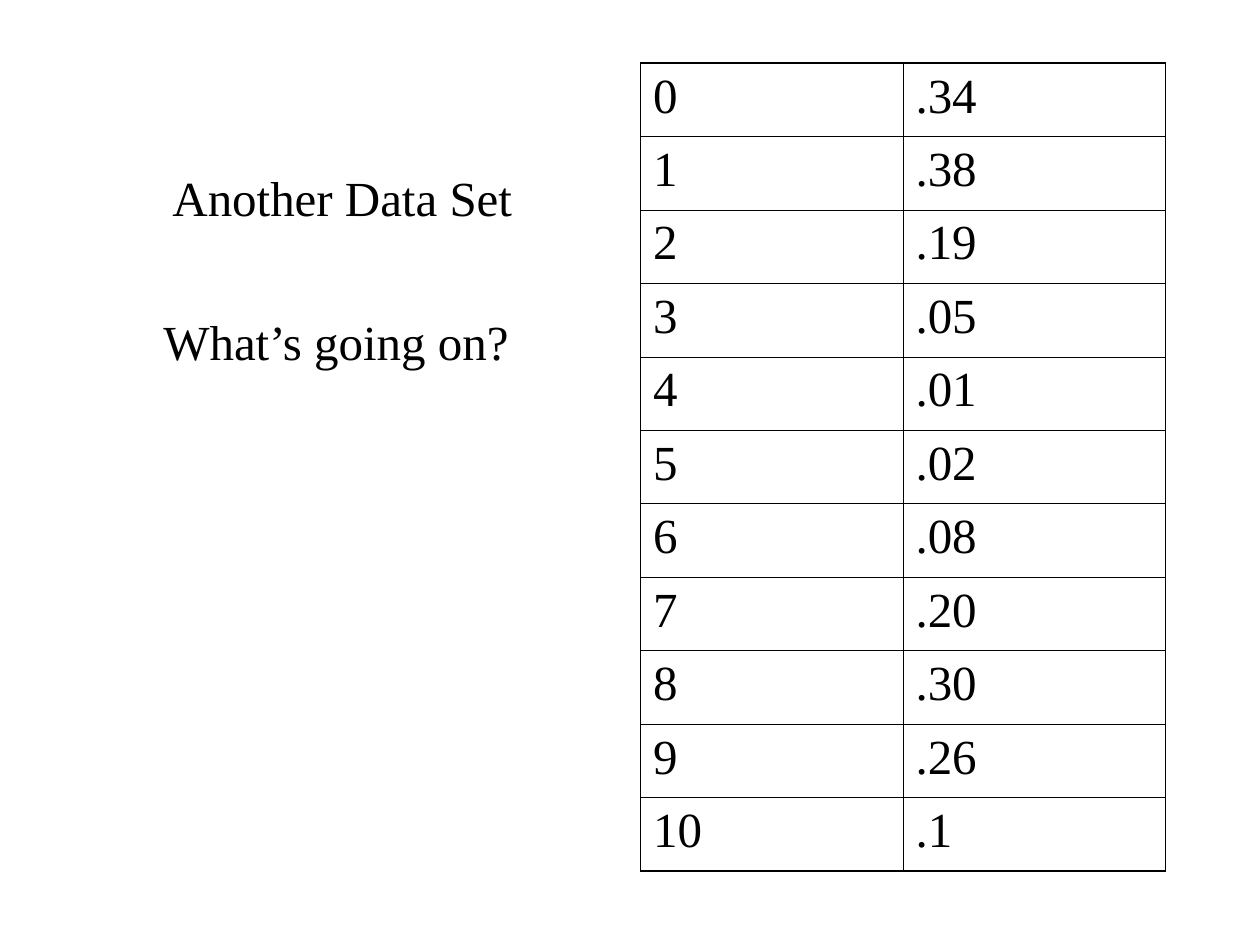
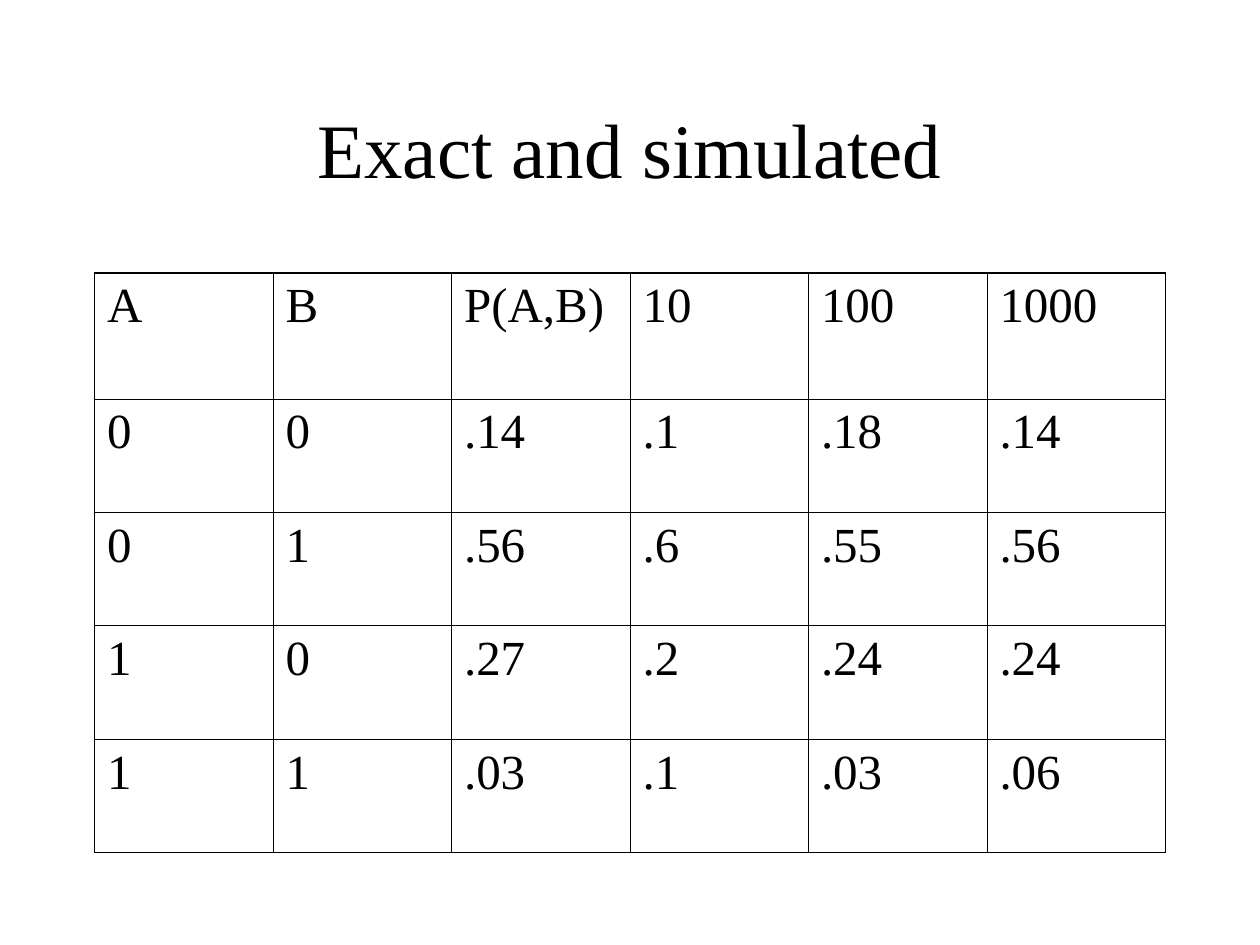
from lxml import etree
from pptx import Presentation
from pptx import util as u
from pptx.dml.color import RGBColor
from pptx.enum import text
from pptx.oxml import ns

# Shared look
BLACK = RGBColor(0, 0, 0)
WHITE = RGBColor(255, 255, 255)
FONT = "Times New Roman"
TEXT_FORMAT = {"name": FONT, "size": u.Pt(28)}
TITLE_FORMAT = {"name": FONT, "size": u.Pt(44)}
OUTER_LINE, INNER_LINE = u.Pt(1.08), u.Pt(0.45)

# Slide grid: 120 columns by 90 rows
SLIDE_WIDTH, SLIDE_HEIGHT = u.Inches(10), u.Inches(7.5)
COLUMN, ROW = SLIDE_WIDTH // 120, SLIDE_HEIGHT // 90

PROBABILITIES = [
    ("0", ".34"), ("1", ".38"), ("2", ".19"), ("3", ".05"),
    ("4", ".01"), ("5", ".02"), ("6", ".08"), ("7", ".20"),
    ("8", ".30"), ("9", ".26"), ("10", ".1"),
]
SIMULATIONS = [
    ("A", "B", "P(A,B)", "10", "100", "1000"),
    ("0", "0", ".14", ".1", ".18", ".14"),
    ("0", "1", ".56", ".6", ".55", ".56"),
    ("1", "0", ".27", ".2", ".24", ".24"),
    ("1", "1", ".03", ".1", ".03", ".06"),
]


def grid_box(left, top, width, height):
    """Turn grid columns and rows into slide lengths."""
    return (round(left * COLUMN), round(top * ROW),
            round(width * COLUMN), round(height * ROW))


def set_all(target, values):
    for name, value in values.items():
        setattr(target, name, value)


def write(para, words, font_format):
    span = para.add_run()
    span.text = words
    set_all(span.font, font_format)
    span.font.color.rgb = BLACK


def place(shape, box):
    set_all(shape, dict(zip(("left", "top", "width", "height"), box)))


def add_page(deck, layout):
    page = deck.slides.add_slide(deck.slide_layouts.get_by_name(layout))
    page.background.fill.solid()
    page.background.fill.fore_color.rgb = WHITE
    return page


def set_borders(cell, widths):
    """Draw the left, right, top and bottom lines, in that order."""
    properties = cell._tc.get_or_add_tcPr()
    for position, (side, width) in enumerate(zip("LRTB", widths)):
        line = etree.Element(ns.qn(f"a:ln{side}"), w=str(int(width)))
        fill = etree.SubElement(line, ns.qn("a:solidFill"))
        etree.SubElement(fill, ns.qn("a:srgbClr"), val=str(BLACK))
        properties.insert(position, line)


def add_data_table(page, box, rows, row_shares):
    """Plain ruled table with equal columns and a heavier outer frame."""
    row_count, column_count = len(rows), len(rows[0])
    table = page.shapes.add_table(row_count, column_count, *box).table
    set_all(table, {"first_row": False, "horz_banding": False})
    for column in table.columns:
        column.width = box[2] // column_count
    for row, share in zip(table.rows, row_shares):
        row.height = round(box[3] * share / sum(row_shares))
    for r, values in enumerate(rows):
        for c, value in enumerate(values):
            cell = table.cell(r, c)
            cell.fill.background()
            write(cell.text_frame.paragraphs[0], value, TEXT_FORMAT)
            on_frame = (c == 0, c == column_count - 1, r == 0, r == row_count - 1)
            set_borders(cell, [OUTER_LINE if edge else INNER_LINE for edge in on_frame])


def add_prompts(body, box):
    """Two centred lines without bullets."""
    place(body, box)
    frame = body.text_frame
    set_all(frame, {"margin_top": box[3] * 11 // 100, "word_wrap": True,
                    "auto_size": text.MSO_AUTO_SIZE.NONE})
    prompts = [("Another Data Set", u.Inches(0.1), u.Pt(0)),
               ("What’s going on?", 0, u.Pt(49))]
    for number, (words, indent, gap) in enumerate(prompts):
        para = frame.add_paragraph() if number else frame.paragraphs[0]
        set_all(para, {"alignment": text.PP_ALIGN.CENTER, "space_before": gap})
        properties = para._p.get_or_add_pPr()
        properties.set("marL", str(int(indent)))
        properties.set("indent", "0")
        etree.SubElement(properties, ns.qn("a:buNone"))
        write(para, words, TEXT_FORMAT)


def add_title(title, box, words):
    place(title, box)
    set_all(title.text_frame, {"vertical_anchor": text.MSO_ANCHOR.MIDDLE,
                               "margin_top": u.Inches(0.15),
                               "auto_size": text.MSO_AUTO_SIZE.NONE})
    para = title.text_frame.paragraphs[0]
    para.alignment = text.PP_ALIGN.CENTER
    write(para, words, TITLE_FORMAT)


def build_data_set_page(deck):
    page = add_page(deck, "Title and Content")
    title = page.shapes.title._element
    title.getparent().remove(title)
    add_prompts(page.placeholders[1], grid_box(9, 8, 46, 72))
    add_data_table(page, grid_box(61, 6, 50, 77), PROBABILITIES,
                   [1] * len(PROBABILITIES))


def build_simulation_page(deck):
    page = add_page(deck, "Title Only")
    add_title(page.shapes.title, grid_box(9, 8, 102, 11), "Exact and simulated")
    add_data_table(page, grid_box(9, 26, 102, 55.2), SIMULATIONS,
                   [1] + [0.9] * (len(SIMULATIONS) - 1))


def main():
    deck = Presentation()
    set_all(deck, {"slide_width": SLIDE_WIDTH, "slide_height": SLIDE_HEIGHT})
    build_data_set_page(deck)
    build_simulation_page(deck)
    deck.save("out.pptx")


if __name__ == "__main__":
    main()
